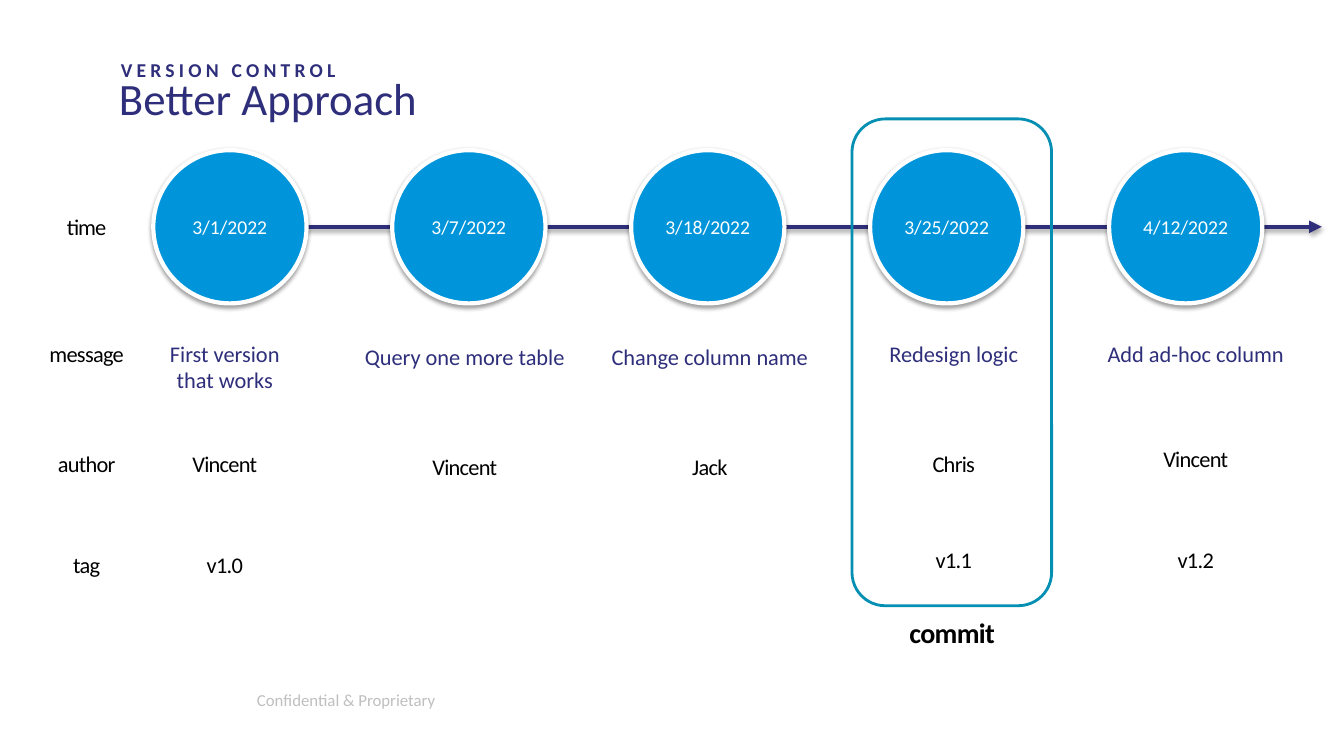
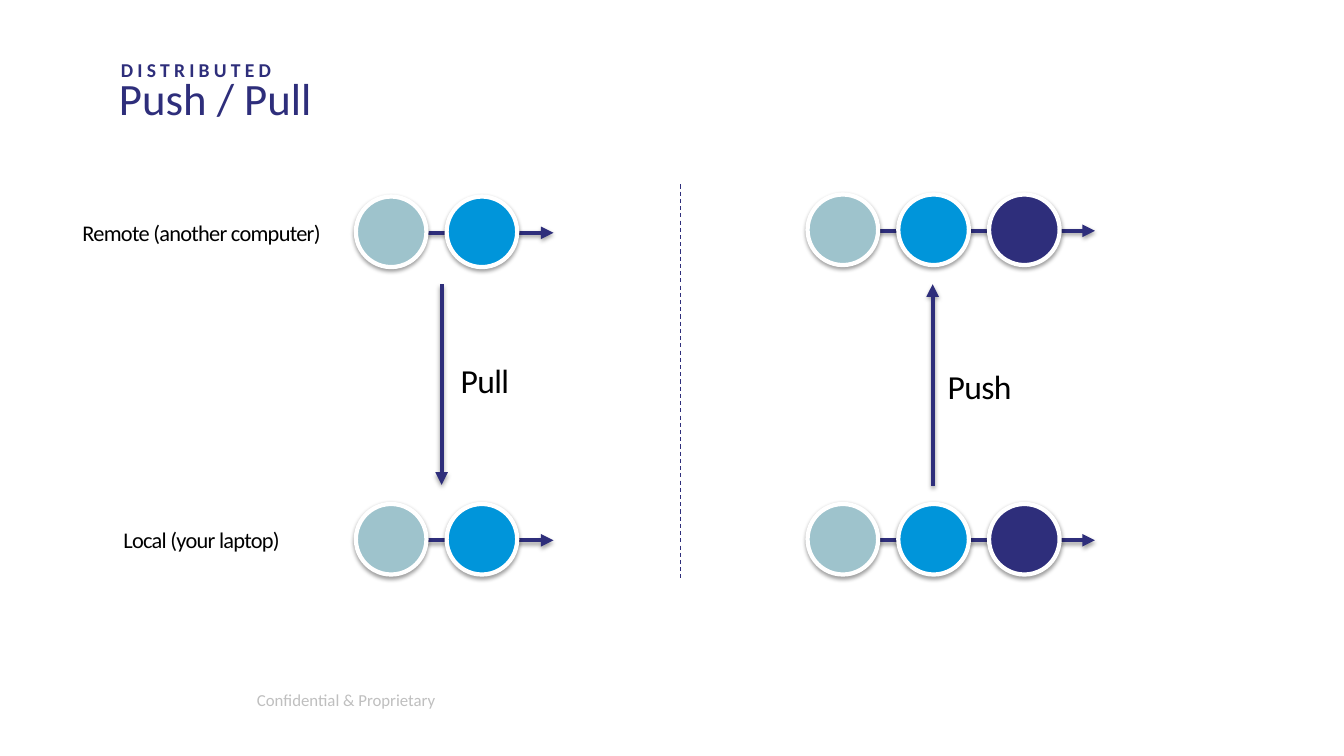
from dataclasses import dataclass

from lxml.etree import SubElement
from pptx import Presentation
from pptx.dml.color import RGBColor
from pptx.enum.dml import MSO_LINE
from pptx.enum.shapes import MSO_CONNECTOR, MSO_SHAPE
from pptx.enum.text import MSO_ANCHOR, PP_ALIGN
from pptx.oxml.ns import qn
from pptx.util import Inches, Pt


@dataclass(frozen=True)
class Theme:
    font: str = "Calibri"
    navy: str = "2E2E7B"
    blue: str = "0095DA"
    mist: str = "9EC3CC"
    teal: str = "0590B3"
    gray: str = "BFBFBF"
    black: str = "000000"
    white: str = "FFFFFF"
    title: int = 32
    action: int = 24
    callout: int = 20
    body: int = 16
    kicker: int = 14
    footer: int = 12
    tight: float = -0.5
    wide: float = 3
    stroke: float = 3


THEME = Theme()
FRAMELESS = (0, 0, 0, 0)
PADDED = (0.1, 0.05, 0.1, 0.05)


def color(value):
    return RGBColor.from_string(value)


def style_paragraph(para, size, tone, align=PP_ALIGN.LEFT, bold=False, leading=None):
    para.alignment = align
    para.line_spacing = leading
    para.font.name = THEME.font
    para.font.size = Pt(size)
    para.font.bold = bold
    para.font.color.rgb = color(tone)


def add_text(page, box, text, size, tone, insets=FRAMELESS,
             anchor=MSO_ANCHOR.TOP, spacing=None, **style):
    frame = page.shapes.add_textbox(*map(Inches, box)).text_frame
    frame.word_wrap = True
    frame.vertical_anchor = anchor
    (frame.margin_left, frame.margin_top,
     frame.margin_right, frame.margin_bottom) = map(Inches, insets)
    for index, line in enumerate(text.split("\n")):
        para = frame.paragraphs[0] if index == 0 else frame.add_paragraph()
        span = para.add_run()
        span.text = line
        if spacing is not None:
            span._r.get_or_add_rPr().set("spc", str(round(spacing * 100)))
        style_paragraph(para, size, tone, **style)


def add_label(page, center, top, text, width=1, height=1,
              tone=THEME.black, spacing=THEME.tight):
    add_text(page, (center - width / 2, top, width, height), text, THEME.body, tone,
             spacing=spacing, align=PP_ALIGN.CENTER)


def add_shadow(effects, alpha, distance):
    shadow = SubElement(effects, qn("a:outerShdw"), blurRad=str(Pt(3.1)),
                        dist=str(Pt(distance)), dir="5400000", rotWithShape="0")
    tone = SubElement(shadow, qn("a:srgbClr"), val=THEME.black)
    SubElement(tone, qn("a:alpha"), val=str(alpha * 1000))


def add_line(page, start, end, width):
    line = page.shapes.add_connector(MSO_CONNECTOR.STRAIGHT, *map(Inches, start + end))
    line.line.color.rgb = color(THEME.navy)
    line.line.width = Pt(width)
    effects = SubElement(line.element.spPr, qn("a:effectLst"))
    return line, effects


def add_arrow(page, start, end):
    arrow, effects = add_line(page, start, end, THEME.stroke)
    SubElement(arrow.element.spPr.find(qn("a:ln")), qn("a:tailEnd"), type="triangle")
    add_shadow(effects, 35, 1.8)


def add_circle(page, left, top, size, fill, text=""):
    circle = page.shapes.add_shape(MSO_SHAPE.OVAL, *map(Inches, (left, top, size, size)))
    circle.fill.solid()
    circle.fill.fore_color.rgb = color(fill)
    circle.line.color.rgb = color(THEME.white)
    circle.line.width = Pt(THEME.stroke)
    circle.shadow.inherit = False
    add_shadow(circle.element.spPr.find(qn("a:effectLst")), 38, 1.6)
    if text:
        frame = circle.text_frame
        frame.vertical_anchor = MSO_ANCHOR.MIDDLE
        frame.text = text
        style_paragraph(frame.paragraphs[0], THEME.kicker, THEME.white, PP_ALIGN.CENTER)


def add_page(deck, kicker, title):
    page = deck.slides.add_slide(deck.slide_layouts[6])
    add_text(page, (2.45, 6.74, 4.5, 0.4), "Confidential & Proprietary", THEME.footer,
             THEME.gray, insets=PADDED, anchor=MSO_ANCHOR.MIDDLE)
    add_text(page, (1.18, 0.76, 11.5, 0.35), title, THEME.title, THEME.navy,
             insets=(0, 0, 0.1, 0.05), leading=0.9)
    add_text(page, (1.1, 0.47, 5.12, 0.42), kicker, THEME.kicker, THEME.navy,
             insets=PADDED, anchor=MSO_ANCHOR.MIDDLE, spacing=THEME.wide,
             bold=True, leading=1.1)
    return page


def add_timeline(page, left, top, dates):
    size, pitch = 1.52, 2.37
    middle = top + size / 2
    add_arrow(page, (left, middle), (left + 11.59, middle))
    for index, date in enumerate(dates):
        add_circle(page, left + index * pitch, top, size, THEME.blue, date)


def add_commit_rows(page, center, top, commits):
    row_tops = [top + offset for offset in (0, 1.26, 2.36, 3.36)]
    for row_top, name in zip(row_tops, ("time", "message", "author", "tag")):
        add_label(page, center, row_top, name)
    for offset, message, author, tag, shifts in commits:
        column = center + offset
        message_top, author_top, tag_top = (
            row_top + shift for row_top, shift in zip(row_tops[1:], shifts))
        add_label(page, column, message_top, message, width=2.2,
                  tone=THEME.navy, spacing=None)
        add_label(page, column, author_top, author)
        if tag:
            add_label(page, column, tag_top, tag)


def add_commit_frame(page, left, top, width, height):
    frame = page.shapes.add_shape(MSO_SHAPE.ROUNDED_RECTANGLE,
                                  *map(Inches, (left, top, width, height)))
    frame.shadow.inherit = False
    frame.fill.background()
    frame.line.color.rgb = color(THEME.teal)
    frame.line.width = Pt(2)
    add_text(page, (left + 0.57, top + height + 0.1, 1, 1), "commit", THEME.callout,
             THEME.black, spacing=THEME.tight, bold=True)


def add_history(page, left, top, fills, length):
    size, pitch = 0.7, 0.9
    middle = top + size / 2 + 0.01
    add_arrow(page, (left, middle), (left + length, middle))
    for index, fill in enumerate(fills):
        add_circle(page, left + index * pitch, top, size, fill)


def add_transfer(page, left, tops, fills, length, arrow_left, ends, text, text_box):
    for top in tops:
        add_history(page, left, top, fills, length)
    start, end = ends
    add_arrow(page, (left + arrow_left, start), (left + arrow_left, end))
    offset, text_top = text_box
    add_text(page, (left + offset, text_top, 0.77, 0.3), text, THEME.action,
             THEME.black, spacing=THEME.tight)


def build_approach(deck):
    page = add_page(deck, "VERSION CONTROL", "Better Approach")
    add_timeline(page, 1.52, 1.49,
                 ("3/1/2022", "3/7/2022", "3/18/2022", "3/25/2022", "4/12/2022"))
    add_commit_rows(page, 0.86, 2.11, (
        (1.37, "First version\nthat works", "Vincent", "v1.0", (0, 0, 0)),
        (3.75, "Query one more table", "Vincent", "", (0.03, 0.03, 0)),
        (6.18, "Change column name", "Jack", "", (0.03, 0.03, 0)),
        (8.6, "Redesign logic", "Chris", "v1.1", (0, 0, -0.05)),
        (11, "Add ad-hoc column", "Vincent", "v1.2", (0, -0.05, -0.05)),
    ))
    add_commit_frame(page, 8.45, 1.18, 1.98, 4.83)


def build_push_pull(deck):
    page = add_page(deck, "DISTRIBUTED", "Push / Pull")
    for top, place in ((2.17, "Remote (another computer)"), (5.22, "Local (your laptop)")):
        add_label(page, 2, top, place, width=2.8, height=0.29)
    shared = (THEME.mist, THEME.blue)
    add_transfer(page, 3.53, (1.95, 5), shared, 1.96, 0.85, (2.82, 4.81),
                 "Pull", (1.04, 3.57))
    add_transfer(page, 8.01, (1.93, 5), shared + (THEME.navy,), 2.85, 1.24, (4.82, 2.82),
                 "Push", (1.39, 3.63))
    divider, _ = add_line(page, (6.75, 1.83), (6.75, 5.73), 0.75)
    divider.line.dash_style = MSO_LINE.DASH


def main():
    deck = Presentation()
    deck.slide_width = Inches(13.33)
    deck.slide_height = Inches(7.5)
    build_approach(deck)
    build_push_pull(deck)
    deck.save("out.pptx")


if __name__ == "__main__":
    main()
